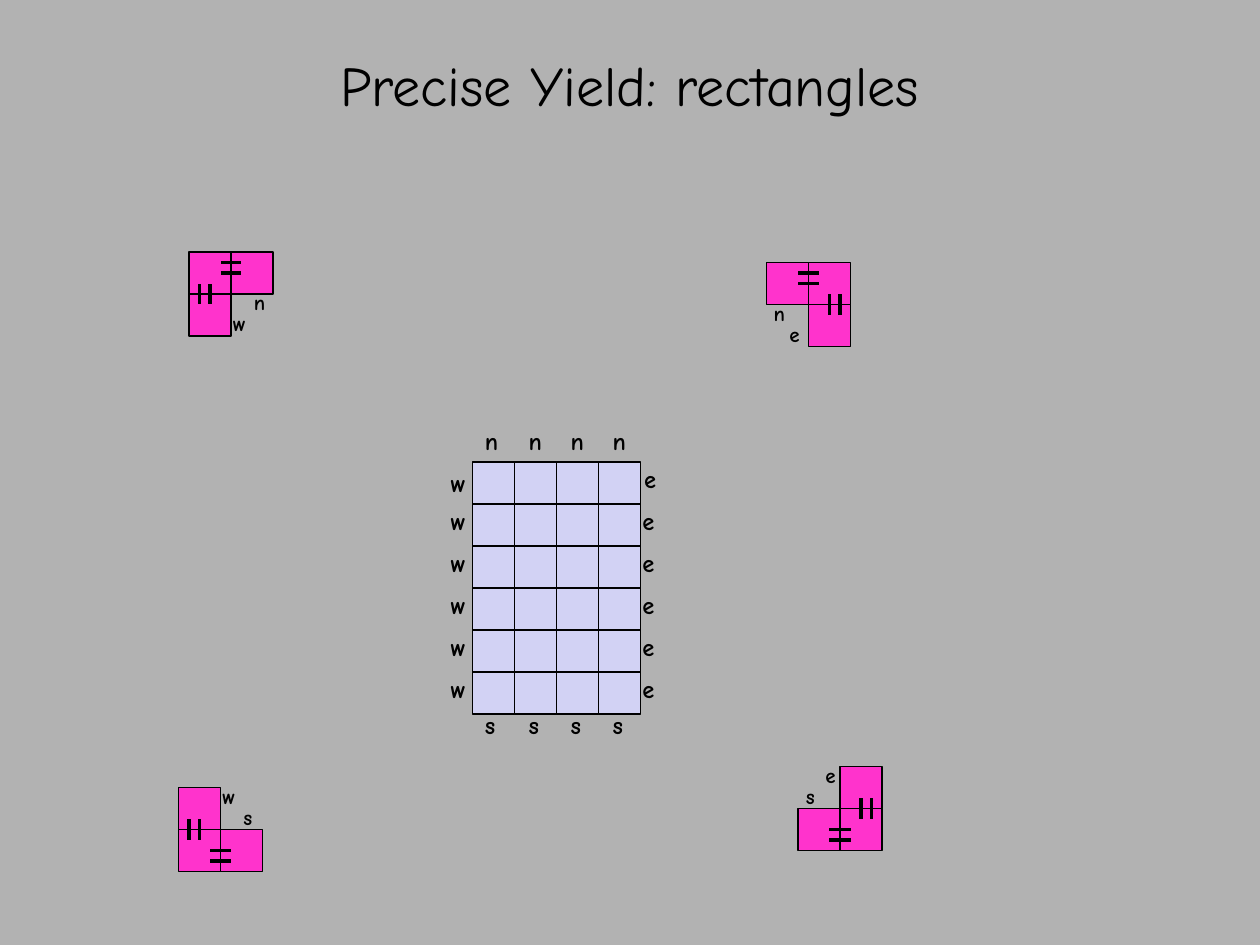
from lxml.etree import SubElement
from pptx import Presentation
from pptx.dml.color import RGBColor
from pptx.enum.shapes import MSO_CONNECTOR, MSO_SHAPE
from pptx.enum.text import MSO_ANCHOR, MSO_AUTO_SIZE, PP_ALIGN
from pptx.oxml.ns import qn
from pptx.util import Pt

COLORS = {"background": "B2B2B2", "grid": "D2D2F4", "piece": "FF33CC", "ink": "000000"}
FONT = "Comic Neue"
CELL = 24
BOND = 6
LETTER_WIDTHS = {"n": 0.56, "e": 0.57, "w": 0.72, "s": 0.5}  # in ems

deck = Presentation()
deck.slide_width, deck.slide_height = Pt(720), Pt(540)
page = deck.slides.add_slide(deck.slide_layouts[6])
page.background.fill.solid()
page.background.fill.fore_color.rgb = RGBColor.from_string(COLORS["background"])
ink = RGBColor.from_string(COLORS["ink"])


def add_cell(left, top, color):
    cell = page.shapes.add_shape(MSO_SHAPE.RECTANGLE, Pt(left), Pt(top), Pt(CELL), Pt(CELL))
    cell.shadow.inherit = False
    cell.fill.solid()
    cell.fill.fore_color.rgb = RGBColor.from_string(COLORS[color])
    cell.line.color.rgb = ink
    cell.line.width = Pt(0.75)
    return cell


def add_letter(letter, left, top, size):
    width = 14.4 + LETTER_WIDTHS[letter] * size
    box = page.shapes.add_textbox(Pt(left), Pt(top), Pt(width), Pt(7.2 + 1.22 * size))
    box.text_frame.word_wrap = False
    box.text_frame.auto_size = MSO_AUTO_SIZE.SHAPE_TO_FIT_TEXT
    box.text_frame.text = letter
    font = box.text_frame.paragraphs[0].runs[0].font
    font.name, font.size, font.bold = FONT, Pt(size), True
    font.color.rgb = ink


# Title
title = page.shapes.add_textbox(Pt(0), Pt(24), Pt(720), Pt(48))
title.text_frame.word_wrap = True
title.text_frame.vertical_anchor = MSO_ANCHOR.MIDDLE
title.text_frame.text = "Precise Yield: rectangles"
para = title.text_frame.paragraphs[0]
para.alignment = PP_ALIGN.CENTER
span = para.runs[0]
span.font.name, span.font.size = FONT, Pt(32)
span.font.color.rgb = ink

# Grid with a letter beside every open edge
grid_left, grid_top, columns, rows = 270, 264, 4, 6
for column in range(columns):
    for row in range(rows):
        add_cell(grid_left + column * CELL, grid_top + row * CELL, "grid")
for column in range(columns):
    left = grid_left + column * CELL + (1 if column else 0)
    add_letter("n", left, 240, 14)
    add_letter("s", left, 402, 14)
for row in range(rows):
    top = 261.5 + row * CELL
    add_letter("e", 360 if row else 361, top, 14)
    add_letter("w", 250.5, top if row else 264, 14)

# Corner pieces: corner cell, directions of the two arms, placed letters
pieces = [
    (108, 144, 1, 1, [("n", 138, 162), ("w", 126, 174)]),
    (462, 150, -1, 1, [("n", 435, 168), ("e", 444, 180)]),
    (102, 474, 1, -1, [("s", 132, 456), ("w", 120, 444)]),
    (480, 462, -1, -1, [("s", 453.5, 444), ("e", 464.5, 432)]),
]
for left, top, across, down, letters in pieces:
    corner = add_cell(left, top, "piece")
    add_cell(left + across * CELL, top, "piece")
    add_cell(left, top + down * CELL, "piece")
    seam_x = left + (CELL if across > 0 else 0)
    seam_y = top + (CELL if down > 0 else 0)
    bonds = []
    for step in (-BOND, BOND):
        for offset in (BOND, 2 * BOND) if down > 0 else (2 * BOND, 3 * BOND):
            side = 3 if across > 0 else 1
            bonds.append((seam_x, top + offset, step, 0, offset, side))
        for offset in (BOND, 2 * BOND) if across > 0 else (2 * BOND, 3 * BOND):
            side = 2 if down > 0 else 0
            bonds.append((left + offset, seam_y, 0, step, offset, side))
    for x, y, step_x, step_y, offset, side in bonds:
        bond = page.shapes.add_connector(
            MSO_CONNECTOR.STRAIGHT, Pt(x), Pt(y), Pt(x + step_x), Pt(y + step_y))
        bond.line.color.rgb = ink
        bond.line.width = Pt(2.25)
        SubElement(bond._element.spPr, qn("a:effectLst"))
        if offset == CELL / 2:
            bond.begin_connect(corner, side)
    for letter, letter_left, letter_top in letters:
        add_letter(letter, letter_left, letter_top, 12)

deck.save("out.pptx")
